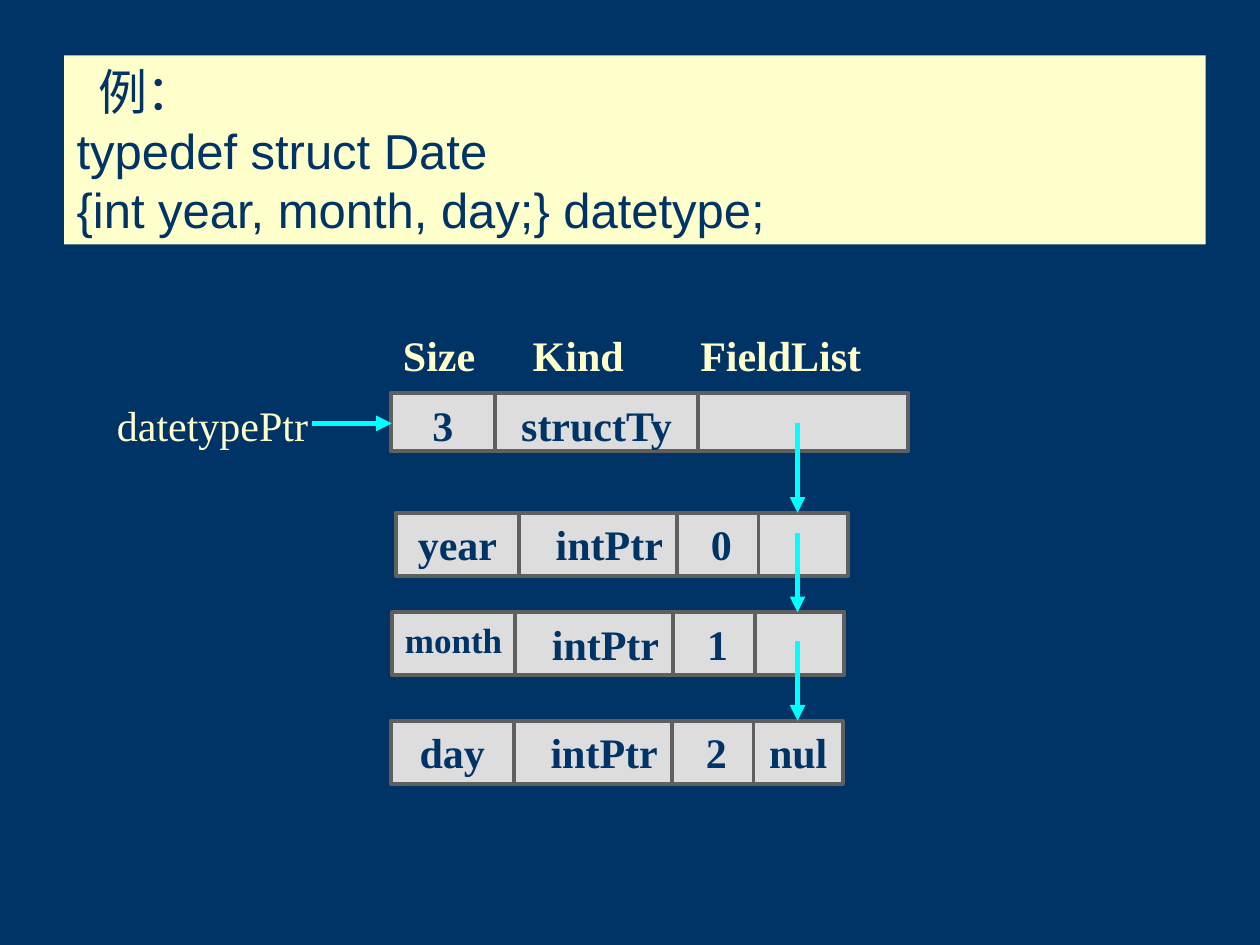
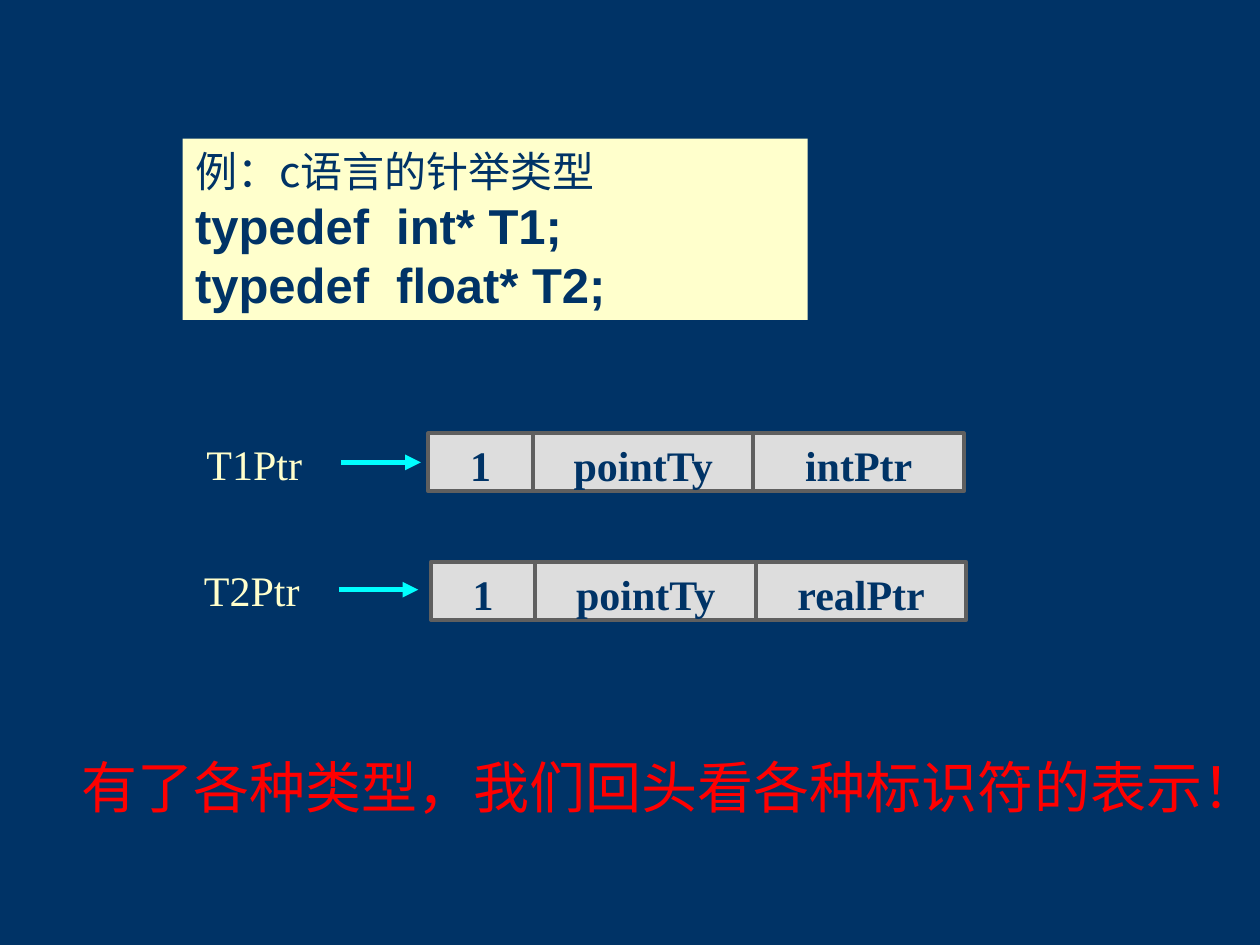
from lxml import etree
from pptx import Presentation
from pptx.dml.color import RGBColor as Rgb
from pptx.enum.shapes import MSO_CONNECTOR as Conn, MSO_SHAPE as Kind
from pptx.enum.text import MSO_ANCHOR as Anchor, PP_ALIGN as Align
from pptx.oxml.ns import qn
from pptx.util import Inches, Pt

# Shared style
HUE = {"navy": "003366", "cream": "FFFFCC", "grey": "DDDDDD",
       "edge": "5F5F5F", "cyan": "00FFFF", "red": "FF0000"}
SANS, SERIF, HAN = "Arial", "Times New Roman", "Noto Sans CJK SC"

# Cells of each record layout: (offset, width)
STRUCT = [(0, 0.83), (0.83, 1.61), (2.44, 1.67)]
FIELD = [(0, 0.98), (0.98, 1.26), (2.23, 0.71), (2.88, 0.71)]
POINT = [(0, 0.83), (0.83, 1.75), (2.58, 1.67)]
PAD = {"intPtr": 0.27}   # left inset of the type column in a field
SMALL = {"month": 20}

# Each line of a code box: (text, format)
DATE = {
    "code": ((0.51, 0.44, 9.06, 1.5), [
        ("例：", {"size": 28, "indent": 0.17}),
        ("typedef struct Date", {"size": 28}),
        ("{int year, month, day;} datetype;", {"size": 28})]),
    "rows": [
        (3.1, 3.12, 0.46, STRUCT, ["3", "structTy", ""]),
        (3.14, 4.07, 0.5, FIELD, ["year", "intPtr", "0", ""]),
        (3.11, 4.86, 0.5, FIELD, ["month", "intPtr", "1", ""]),
        (3.1, 5.72, 0.5, FIELD, ["day", "intPtr", "2", "null"])],
    "labels": [
        ("Size", 3.1, 2.57, 0.9, {"bold": True}),
        ("Kind", 4.13, 2.57, 1.1, {"bold": True}),
        ("FieldList", 5.46, 2.57, 1.6, {"bold": True}),
        ("datetypePtr", 0.83, 3.12, 1.8, {})],
    "arrows": [(2.48, 3.36, 3.11, 3.36), (6.33, 3.36, 6.33, 4.07),
               (6.33, 4.23, 6.33, 4.86), (6.33, 5.09, 6.33, 5.72)],
}
POINTER = {
    "code": ((1.45, 1.1, 4.96, 1.44), [
        ("例：c语言的针举类型", {"size": 24, "font": HAN}),
        ("typedef  int* T1;", {"size": 28, "bold": True}),
        ("typedef  float* T2;", {"size": 28, "bold": True})]),
    "rows": [
        (3.4, 3.44, 0.46, POINT, ["1", "pointTy", "intPtr"]),
        (3.42, 4.46, 0.46, POINT, ["1", "pointTy", "realPtr"])],
    "labels": [
        ("T1Ptr", 1.54, 3.43, 1.1, {}),
        ("T2Ptr", 1.52, 4.43, 1.1, {}),
        ("有了各种类型，我们回头看各种标识符的表示！", 0.55, 5.92, 9.6,
         {"size": 32, "font": HAN, "hue": "red"})],
    "arrows": [(2.71, 3.67, 3.34, 3.67), (2.69, 4.68, 3.32, 4.68)],
}


def write(para, text, size=24, font=SERIF, hue="navy", bold=False,
          align=Align.LEFT, indent=0):
    para.alignment = align
    if indent:
        props = para._p.get_or_add_pPr()
        props.set("marL", str(Inches(indent)))
        props.set("indent", "0")
    run = para.add_run()
    run.text = text
    run.font.size, run.font.bold, run.font.name = Pt(size), bold, font
    run.font.color.rgb = Rgb.from_string(HUE[hue])
    east = etree.SubElement(run._r.get_or_add_rPr(), qn("a:ea"))
    east.set("typeface", HAN)


def add_box(slide, at, fill, edge=None, anchor=Anchor.TOP):
    box = slide.shapes.add_shape(Kind.RECTANGLE, *map(Inches, at))
    box.shadow.inherit = False
    box.fill.solid()
    box.fill.fore_color.rgb = Rgb.from_string(HUE[fill])
    if edge:
        box.line.color.rgb = Rgb.from_string(HUE[edge])
        box.line.width = Pt(2.25)
    else:
        box.line.fill.background()
    box.text_frame.word_wrap = True
    box.text_frame.vertical_anchor = anchor
    return box.text_frame


def add_code(slide, at, lines):
    frame = add_box(slide, at, "cream", anchor=Anchor.MIDDLE)
    for i, (text, form) in enumerate(lines):
        para = frame.add_paragraph() if i else frame.paragraphs[0]
        write(para, text, **{"font": SANS, **form})


def add_row(slide, left, top, high, cells, words):
    for (off, wide), word in zip(cells, words):
        frame = add_box(slide, (left + off, top, wide, high), "grey", "edge")
        if word:
            if cells is FIELD and word in PAD:
                frame.margin_left = Inches(PAD[word])
            write(frame.paragraphs[0], word, size=SMALL.get(word, 24),
                  bold=True, align=Align.CENTER)


def add_label(slide, text, left, top, wide, form):
    box = slide.shapes.add_textbox(*map(Inches, (left, top, wide, 0.5)))
    box.text_frame.word_wrap = True
    write(box.text_frame.paragraphs[0], text, **{"hue": "cream", **form})


def add_arrow(slide, *ends):
    line = slide.shapes.add_connector(Conn.STRAIGHT, *map(Inches, ends))
    line.line.color.rgb = Rgb.from_string(HUE["cyan"])
    line.line.width = Pt(3)
    tail = etree.SubElement(line.line._get_or_add_ln(), qn("a:tailEnd"))
    tail.set("type", "triangle")
    etree.SubElement(line._element.spPr, qn("a:effectLst"))


def main():
    deck = Presentation()
    deck.slide_width, deck.slide_height = Inches(10), Inches(7.5)
    for page in (DATE, POINTER):
        slide = deck.slides.add_slide(deck.slide_layouts[6])
        slide.background.fill.solid()
        slide.background.fill.fore_color.rgb = Rgb.from_string(HUE["navy"])
        add_code(slide, *page["code"])
        for row in page["rows"]:
            add_row(slide, *row)
        for label in page["labels"]:
            add_label(slide, *label)
        for ends in page["arrows"]:
            add_arrow(slide, *ends)
    deck.save("out.pptx")


if __name__ == "__main__":
    main()
